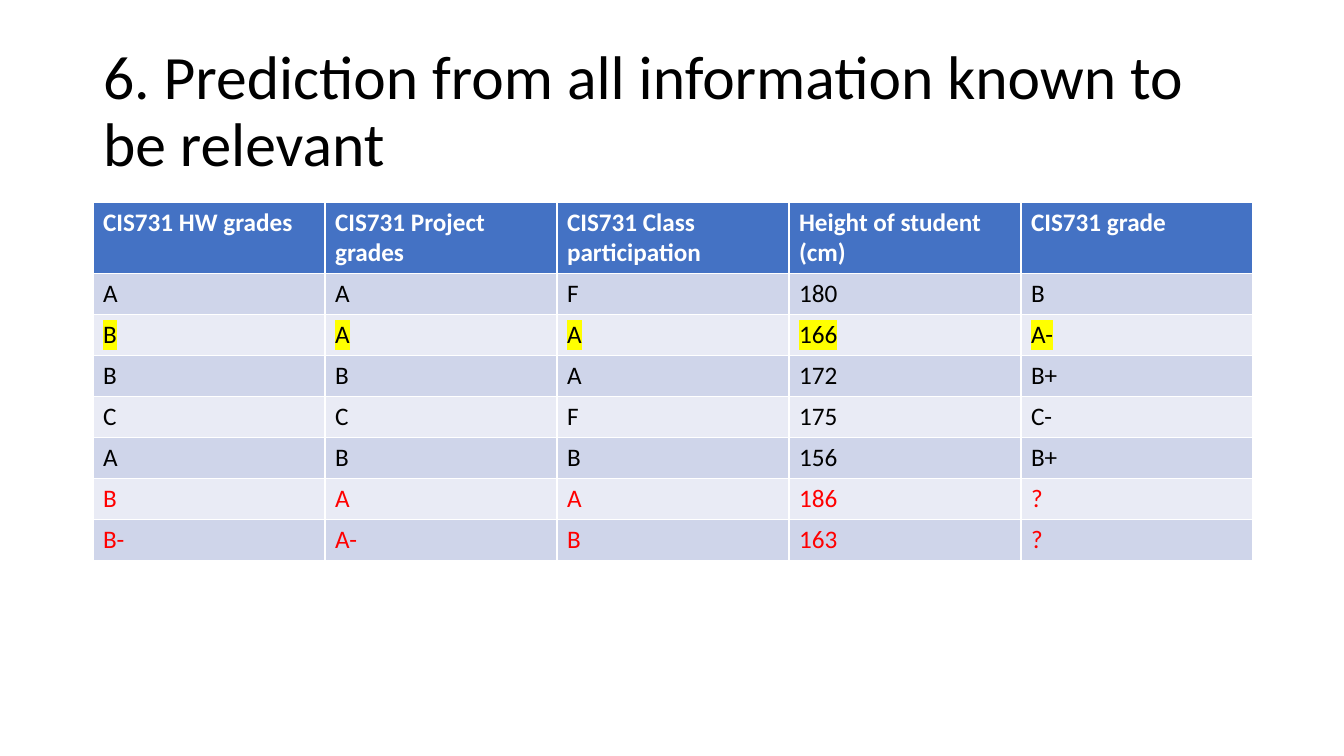
"""Build the slide that predicts course grades from all relevant information."""
from dataclasses import dataclass

from lxml.etree import SubElement
from pptx import Presentation
from pptx.dml.color import RGBColor
from pptx.enum.text import MSO_ANCHOR, MSO_AUTO_SIZE, PP_ALIGN
from pptx.oxml.ns import qn
from pptx.util import Pt

TITLE = "6. Prediction from all information known to be relevant"
HEADERS = ("CIS731 HW grades", "CIS731 Project grades", "CIS731 Class participation",
           "Height of student (cm)", "CIS731 grade")
STUDENTS = [
    ("A", "A", "F", "180", "B"),
    ("B", "A", "A", "166", "A-"),
    ("B", "B", "A", "172", "B+"),
    ("C", "C", "F", "175", "C-"),
    ("A", "B", "B", "156", "B+"),
    ("B", "A", "A", "186", "?"),
    ("B-", "A-", "B", "163", "?"),
]
HIGHLIGHTED_ROW = 2
UNKNOWN_GRADE = "?"

SLIDE_SIZE = (1344, 756)
TITLE_BOX = (93, 40, 1159, 146)
TABLE_LEFT, TABLE_TOP = 93, 202
COLUMN_WIDTH, HEADER_HEIGHT, ROW_HEIGHT = 232, 70, 41


@dataclass(frozen=True)
class Theme:
    font: str = "Calibri"
    title_size: int = 44
    table_size: int = 18
    text: str = "000000"
    header_text: str = "FFFFFF"
    unknown_text: str = "FF0000"
    header_fill: str = "4472C4"
    bands: tuple = ("E9EBF5", "CFD5EA")
    highlight: str = "FFFF00"


THEME = Theme()


def px(length):
    return round(length * 914400 / 100.8)


def set_font(paragraph, size, color, bold=False):
    font = paragraph.font
    font.name, font.size, font.bold = THEME.font, Pt(size), bold
    font.color.rgb = RGBColor.from_string(color)


def highlight(run):
    marker = SubElement(run.font._element, qn("a:highlight"))
    SubElement(marker, qn("a:srgbClr"), val=THEME.highlight)


def add_title(slide):
    title = slide.shapes.title
    title.left, title.top, title.width, title.height = map(px, TITLE_BOX)
    frame = title.text_frame
    frame.text = TITLE
    frame.word_wrap = True
    frame.auto_size = MSO_AUTO_SIZE.NONE
    frame.vertical_anchor = MSO_ANCHOR.MIDDLE
    paragraph = frame.paragraphs[0]
    paragraph.alignment = PP_ALIGN.LEFT
    paragraph.line_spacing = 0.9
    set_font(paragraph, THEME.title_size, THEME.text)


def row_colors(index, values):
    if index == 0:
        return THEME.header_fill, THEME.header_text
    unknown = values[-1] == UNKNOWN_GRADE
    return THEME.bands[index % 2], THEME.unknown_text if unknown else THEME.text


def add_grades(slide):
    rows = [HEADERS, *STUDENTS]
    heights = [HEADER_HEIGHT] + [ROW_HEIGHT] * len(STUDENTS)
    table = slide.shapes.add_table(
        len(rows), len(HEADERS), px(TABLE_LEFT), px(TABLE_TOP),
        px(COLUMN_WIDTH * len(HEADERS)), px(sum(heights))).table
    for column in table.columns:
        column.width = px(COLUMN_WIDTH)
    for index, values in enumerate(rows):
        table.rows[index].height = px(heights[index])
        fill, color = row_colors(index, values)
        for cell, value in zip(table.rows[index].cells, values):
            cell.text = value
            cell.fill.solid()
            cell.fill.fore_color.rgb = RGBColor.from_string(fill)
            paragraph = cell.text_frame.paragraphs[0]
            set_font(paragraph, THEME.table_size, color, bold=index == 0)
            if index == HIGHLIGHTED_ROW:
                highlight(paragraph.runs[0])


def main():
    presentation = Presentation()
    presentation.slide_width, presentation.slide_height = map(px, SLIDE_SIZE)
    slide = presentation.slides.add_slide(presentation.slide_layouts[5])
    add_title(slide)
    add_grades(slide)
    presentation.save("out.pptx")


if __name__ == "__main__":
    main()
